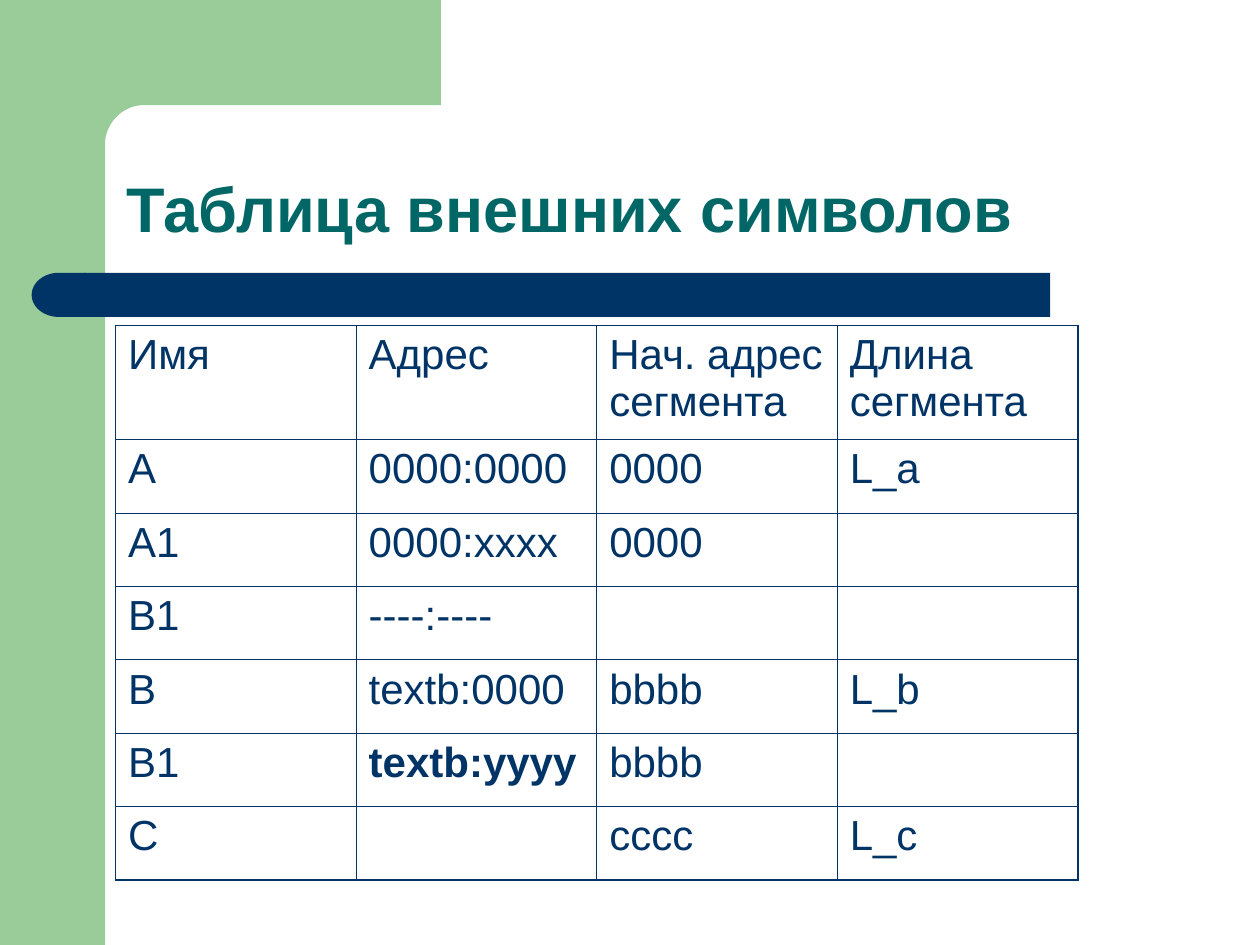
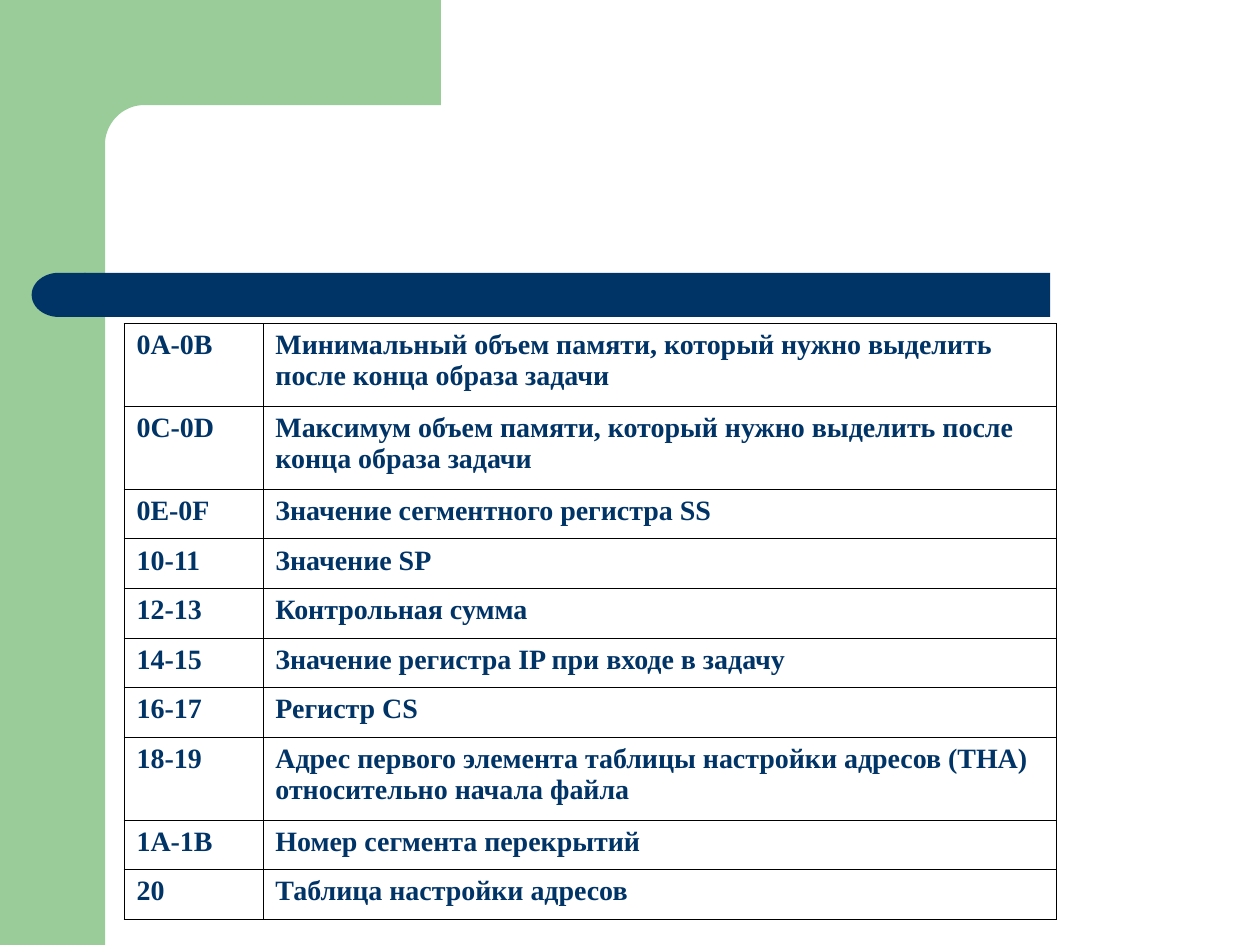
from math import cos, pi, sin

from lxml.etree import SubElement
from pptx import Presentation
from pptx.dml.color import RGBColor
from pptx.enum.shapes import MSO_SHAPE as Shape
from pptx.enum.text import MSO_ANCHOR as Anchor
from pptx.oxml.ns import qn
from pptx.util import Cm, Pt

GREEN = RGBColor(0x99, 0xCC, 0x99)
NAVY = RGBColor(0x00, 0x33, 0x66)
TEAL = RGBColor(0x00, 0x66, 0x66)
BLACK = RGBColor(0x00, 0x00, 0x00)

THIN, THICK = Pt(0.45), Pt(1.08)


def add_text(paragraph, text, font_name, size, color, bold):
    """Add text run by run, with a line break at each newline."""
    for index, line in enumerate(text.split("\n")):
        if index:
            paragraph.add_line_break()
        run = paragraph.add_run()
        run.text = line
        run.font.name = font_name
        run.font.size = Pt(size)
        run.font.bold = bold
        run.font.color.rgb = color


def add_grid(slide, left, top, widths, heights, rows, font_name, size, bold_cells, line_color, outer_width):
    """Add an unfilled table with thin inner lines and the given outer line."""
    last_row, last_column = len(heights) - 1, len(widths) - 1
    table = slide.shapes.add_table(
        len(heights), len(widths), Cm(left), Cm(top), Cm(sum(widths)), Cm(sum(heights))
    ).table
    table.first_row = table.horz_banding = False
    for column, width in zip(table.columns, widths):
        column.width = Cm(width)
    for row, height in zip(table.rows, heights):
        row.height = Cm(height)
    for r, texts in enumerate(rows):
        for c, text in enumerate(texts):
            cell = table.cell(r, c)
            properties = cell._tc.get_or_add_tcPr()
            outer_sides = {"L": c == 0, "R": c == last_column, "T": r == 0, "B": r == last_row}
            for side, is_outer in outer_sides.items():
                width = outer_width if is_outer else THIN
                line = SubElement(properties, qn(f"a:ln{side}"), w=str(int(width)))
                fill = SubElement(line, qn("a:solidFill"))
                SubElement(fill, qn("a:srgbClr"), val=str(line_color))
            cell.fill.background()
            if text:
                paragraph = cell.text_frame.paragraphs[0]
                add_text(paragraph, text, font_name, size, NAVY, text in bold_cells)


presentation = Presentation()
presentation.slide_width = Cm(25.4)
presentation.slide_height = Cm(19.05)
blank_layout = presentation.slide_layouts[6]

# Green corner with a rounded inner edge, and the navy bar
corner_points = [(8.89, 0), (8.89, 2.12)]
for step in range(17):
    angle = pi / 2 * step / 16
    corner_points.append((2.9 - 0.79 * sin(angle), 2.95 - 0.83 * cos(angle)))
corner_points += [(2.11, 3.25), (1.27, 3.25), (1.27, 0)]

symbols_slide, header_slide = [presentation.slides.add_slide(blank_layout) for _ in range(2)]
for slide in (symbols_slide, header_slide):
    shapes = slide.shapes
    side_band = shapes.add_shape(Shape.RECTANGLE, 0, 0, Cm(2.12), Cm(19.05))
    points = [(Cm(x), Cm(y)) for x, y in corner_points]
    builder = shapes.build_freeform(*points[0])
    builder.add_line_segments(points[1:], close=True)
    corner = builder.convert_to_shape()
    bar = shapes.add_shape(Shape.RECTANGLE, Cm(1.7), Cm(5.5), Cm(19.47), Cm(0.89))
    bar_end = shapes.add_shape(Shape.FLOWCHART_DELAY, Cm(0.64), Cm(5.5), Cm(1.09), Cm(0.89))
    bar_end.element.spPr.xfrm.set("flipH", "1")
    for shape, color in ((side_band, GREEN), (corner, GREEN), (bar, NAVY), (bar_end, NAVY)):
        shape.fill.solid()
        shape.fill.fore_color.rgb = color
        shape.line.fill.background()
        shape.shadow.inherit = False

# Slide 1: external symbols
title = symbols_slide.shapes.add_textbox(Cm(2.31), Cm(2.31), Cm(21.6), Cm(2.77))
title.text_frame.word_wrap = True
title.text_frame.vertical_anchor = Anchor.BOTTOM
title_paragraph = title.text_frame.paragraphs[0]
title_paragraph.line_spacing = 0.9
add_text(title_paragraph, "Таблица внешних символов", "Arial", 36, TEAL, True)

symbols = [
    ("Имя", "Адрес", "Нач. адрес\nсегмента", "Длина сегмента"),
    ("А", "0000:0000", "0000", "L_a"),
    ("A1", "0000:хххх", "0000", ""),
    ("B1", "----:----", "", ""),
    ("B", "textb:0000", "bbbb", "L_b"),
    ("B1", "textb:yyyy", "bbbb", ""),
    ("C", "", "cccc", "L_c"),
]
add_grid(symbols_slide, 2.33, 6.56, [4.85] * 4, [2.3] + [1.48] * 6, symbols,
         "Arial", 24, {"textb:yyyy"}, NAVY, THICK)

# Slide 2: header fields
ONE_LINE, TWO_LINES = 1.0, 1.67
header_fields = [
    ("0А-0В", "Минимальный объем памяти, который нужно выделить после конца образа задачи", TWO_LINES),
    ("0С-0D", "Максимум объем памяти, который нужно выделить после конца образа задачи", TWO_LINES),
    ("0E-0F", "Значение сегментного регистра SS", ONE_LINE),
    ("10-11", "Значение SP", ONE_LINE),
    ("12-13", "Контрольная сумма", ONE_LINE),
    ("14-15", "Значение регистра IP при входе в задачу", ONE_LINE),
    ("16-17", "Регистр CS", ONE_LINE),
    ("18-19", "Адрес первого элемента таблицы настройки адресов (THA) относительно начала файла", TWO_LINES),
    ("1A-1B", "Номер сегмента перекрытий", ONE_LINE),
    ("20", "Таблица настройки адресов", ONE_LINE),
]
field_rows = [(offset, meaning) for offset, meaning, _ in header_fields]
field_heights = [height for _, _, height in header_fields]
all_fields = {text for row in field_rows for text in row}
add_grid(header_slide, 2.5, 6.52, [2.8, 16], field_heights, field_rows,
         "Times New Roman", 16, all_fields, BLACK, THIN)

presentation.save("out.pptx")
